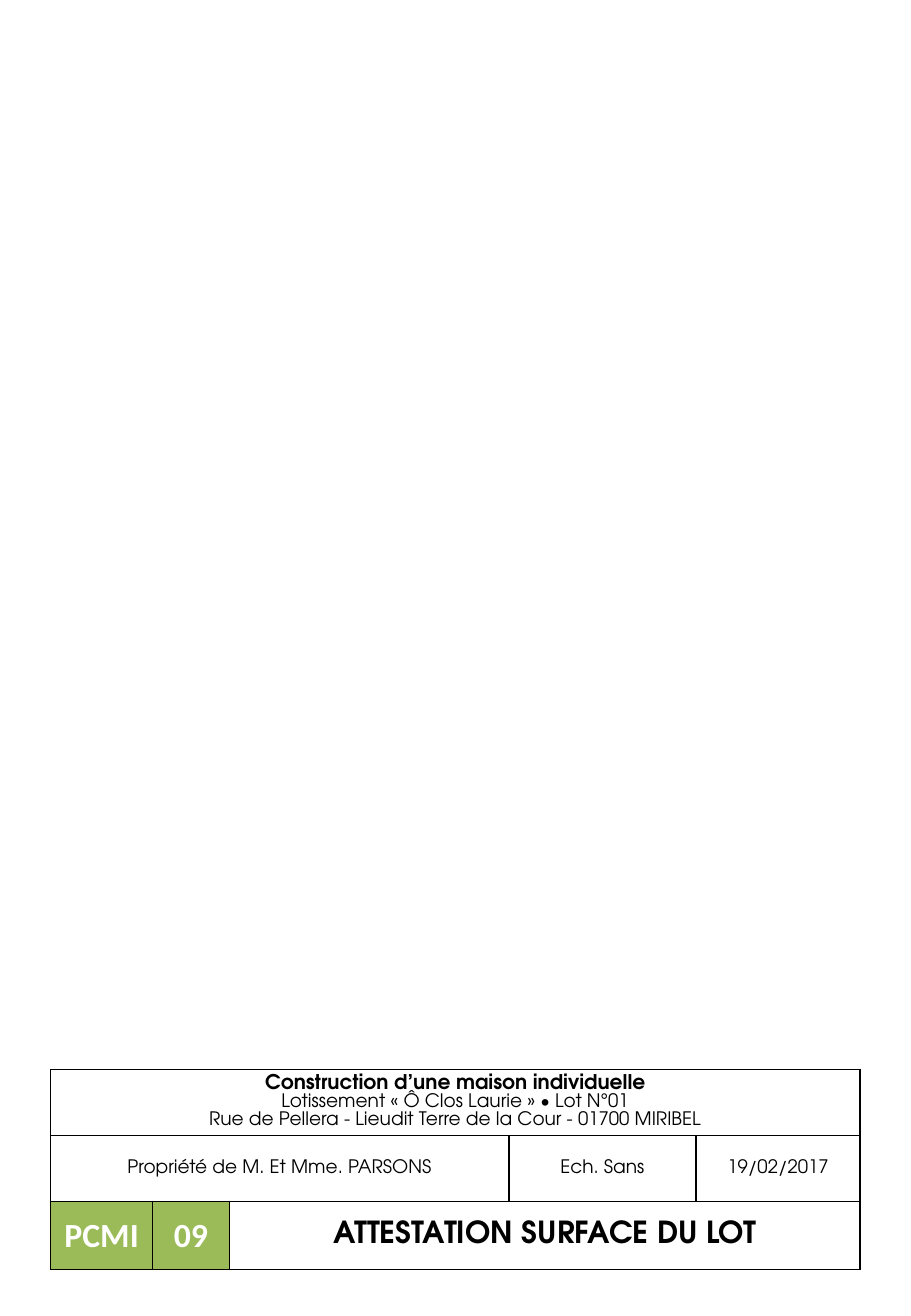
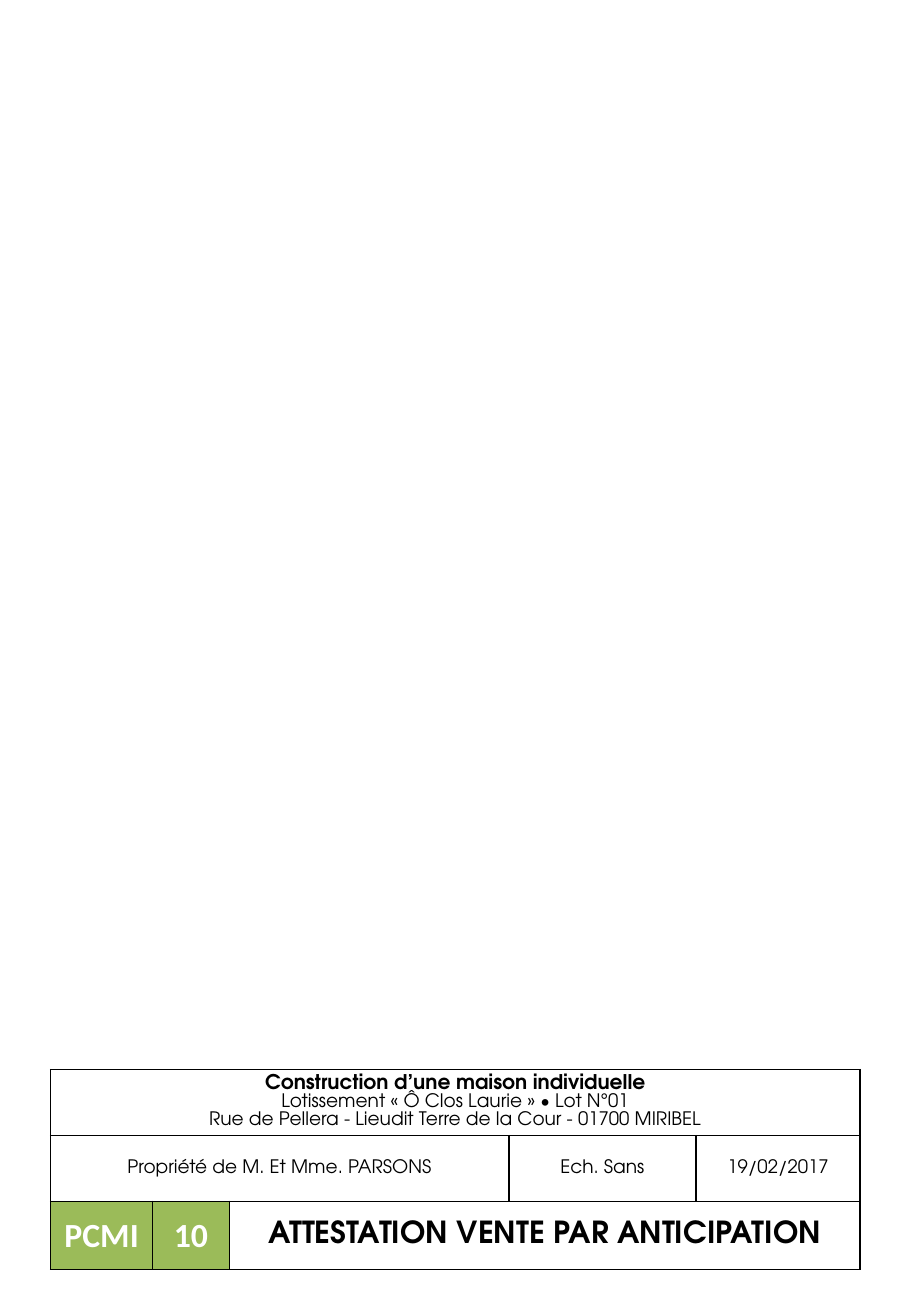
from pptx import Presentation
from pptx.dml.color import RGBColor
from pptx.enum.text import MSO_ANCHOR as Anchor, PP_ALIGN as Align
from pptx.oxml.ns import qn
from pptx.util import Pt
from lxml.etree import SubElement

BLACK, WHITE, GREEN = "000000", "FFFFFF", "9BBB59"
TEXT_FONT, CODE_FONT = "TeX Gyre Adventor", "Calibri"
PAGE_SIZE = (540, 779.76)
BLOCK_BOX = (30, 633.8, 480, 118.5)
COLUMN_SHARES = (0.84, 0.63, 2.3, 1.54, 1.35)
ROW_SHARES = (0.54, 0.54, 0.56)
PROJECT = "Construction d’une maison individuelle"
ADDRESS = (
    "Lotissement «\u00a0Ô Clos Laurie\u00a0» • Lot N°01",
    "Rue de Pellera - Lieudit Terre de la Cour - 01700 MIRIBEL",
)
DETAILS = ((0, 2, "Propriété de M. Et Mme. PARSONS"), (3, 3, "Ech. Sans"), (4, 4, "19/02/2017"))
SHEETS = (("09", "ATTESTATION SURFACE DU LOT"), ("10", "ATTESTATION VENTE PAR ANTICIPATION"))


def color(value):
    return RGBColor.from_string(value)


def write(para, text, size=11, font=TEXT_FONT, ink=BLACK, bold=False, spacing=None):
    para.alignment = Align.CENTER
    if spacing:
        para.line_spacing = Pt(spacing)
    span = para.add_run()
    span.text = text
    span.font.size = Pt(size)
    span.font.name = font
    span.font.bold = bold
    span.font.color.rgb = color(ink)


def outline(cell, ink=BLACK, width=1):
    properties = cell._tc.get_or_add_tcPr()
    for side in ("lnL", "lnR", "lnT", "lnB"):
        line = SubElement(properties, qn(f"a:{side}"), w=str(Pt(width)))
        fill = SubElement(line, qn("a:solidFill"))
        SubElement(fill, qn("a:srgbClr"), val=ink)


def span_cells(table, row, first, last):
    cell = table.cell(row, first)
    if last > first:
        cell.merge(table.cell(row, last))
    return cell


def share_out(parts, shares, total, attribute):
    for part, share in zip(parts, shares):
        setattr(part, attribute, Pt(round(total * share / sum(shares), 2)))


def title_block(page, box, number, title):
    left, top, width, height = box
    frame = page.shapes.add_table(
        len(ROW_SHARES), len(COLUMN_SHARES), Pt(left), Pt(top), Pt(width), Pt(height)
    )
    table = frame.table
    table.first_row = table.horz_banding = False
    share_out(table.columns, COLUMN_SHARES, width, "width")
    share_out(table.rows, ROW_SHARES, height, "height")
    for cell in table.iter_cells():
        outline(cell)
        cell.vertical_anchor = Anchor.MIDDLE
        cell.fill.solid()
        cell.fill.fore_color.rgb = color(WHITE)

    project = span_cells(table, 0, 0, 4)
    write(project.text_frame.paragraphs[0], PROJECT, size=12, bold=True, spacing=10.5)
    for text in ADDRESS:
        write(project.text_frame.add_paragraph(), text, spacing=10.5)

    for first, last, text in DETAILS:
        write(span_cells(table, 1, first, last).text_frame.paragraphs[0], text)

    for column, text in enumerate(("PCMI", number)):
        cell = table.cell(2, column)
        cell.fill.fore_color.rgb = color(GREEN)
        write(cell.text_frame.paragraphs[0], text, size=20, font=CODE_FONT, ink=WHITE, bold=True)
    heading = span_cells(table, 2, 2, 4)
    write(heading.text_frame.paragraphs[0], title, size=18, bold=True)


def main():
    deck = Presentation()
    deck.slide_width, deck.slide_height = map(Pt, PAGE_SIZE)
    for number, title in SHEETS:
        page = deck.slides.add_slide(deck.slide_layouts[6])
        title_block(page, BLOCK_BOX, number, title)
    deck.save("out.pptx")


if __name__ == "__main__":
    main()
